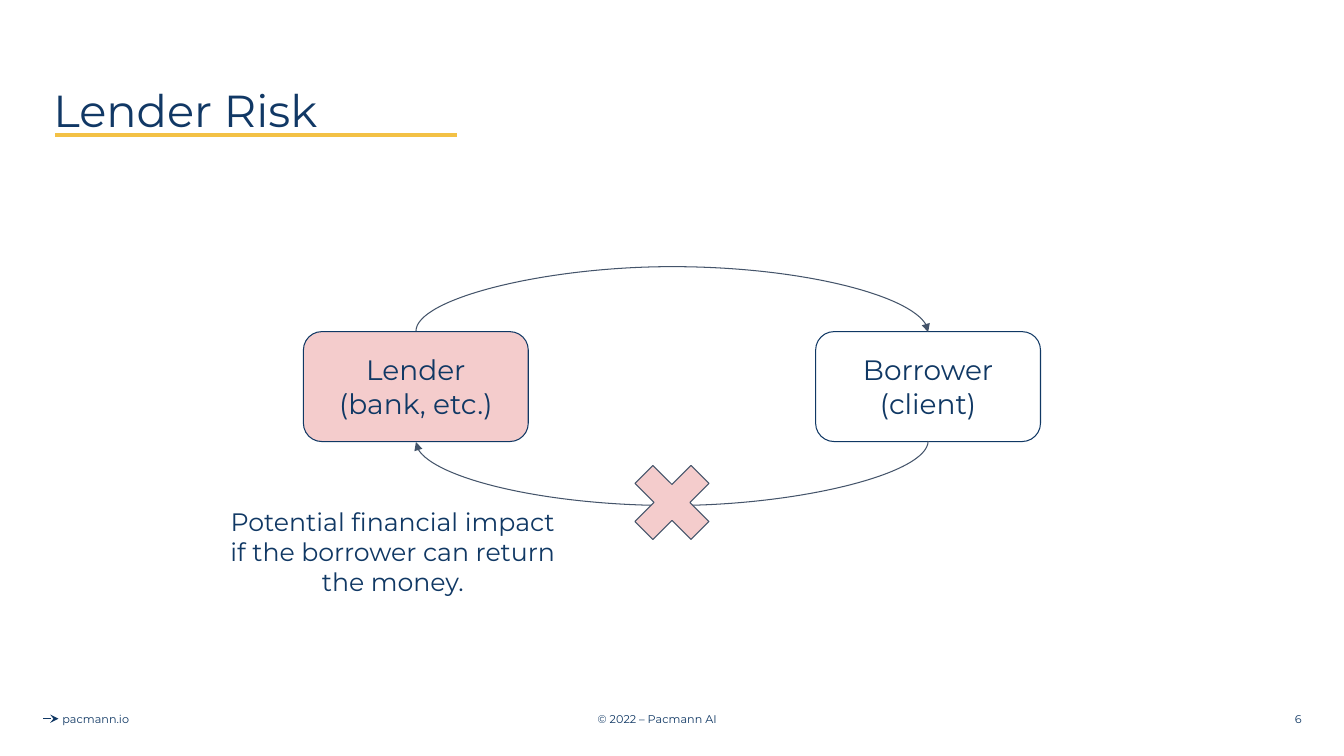
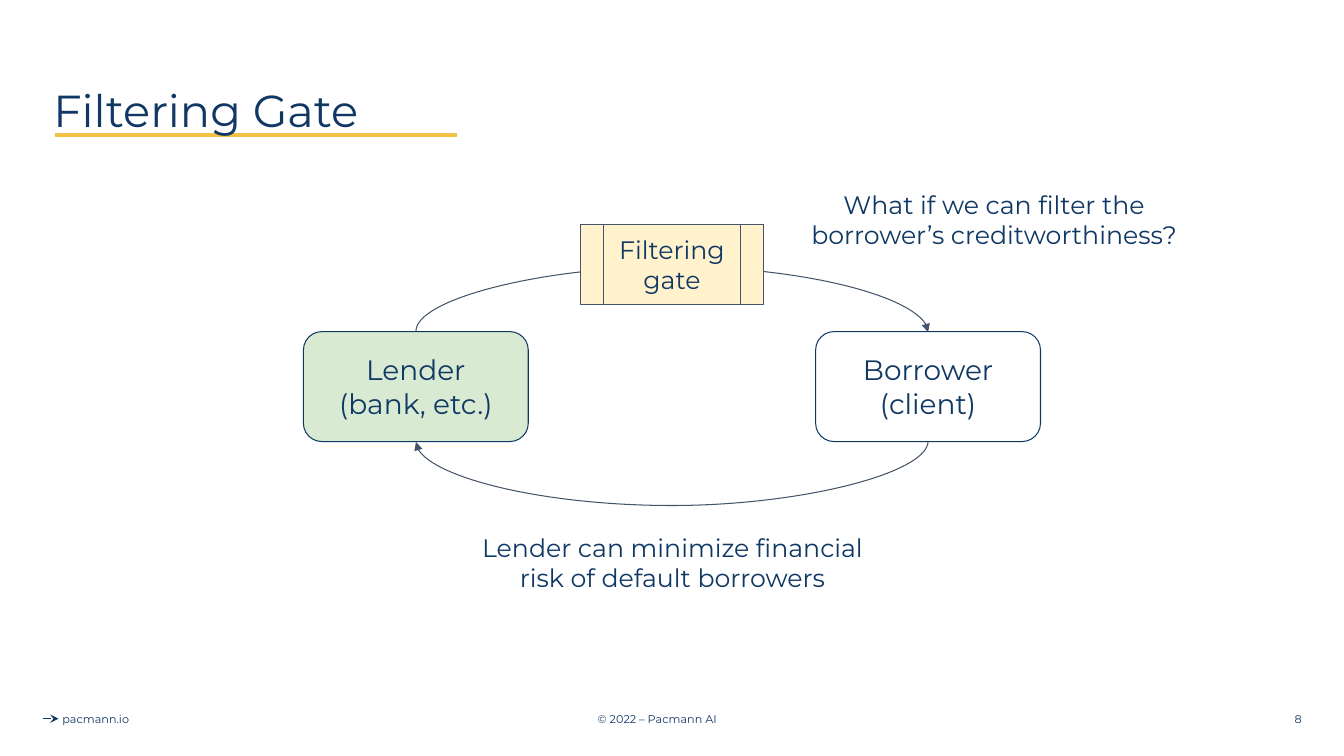
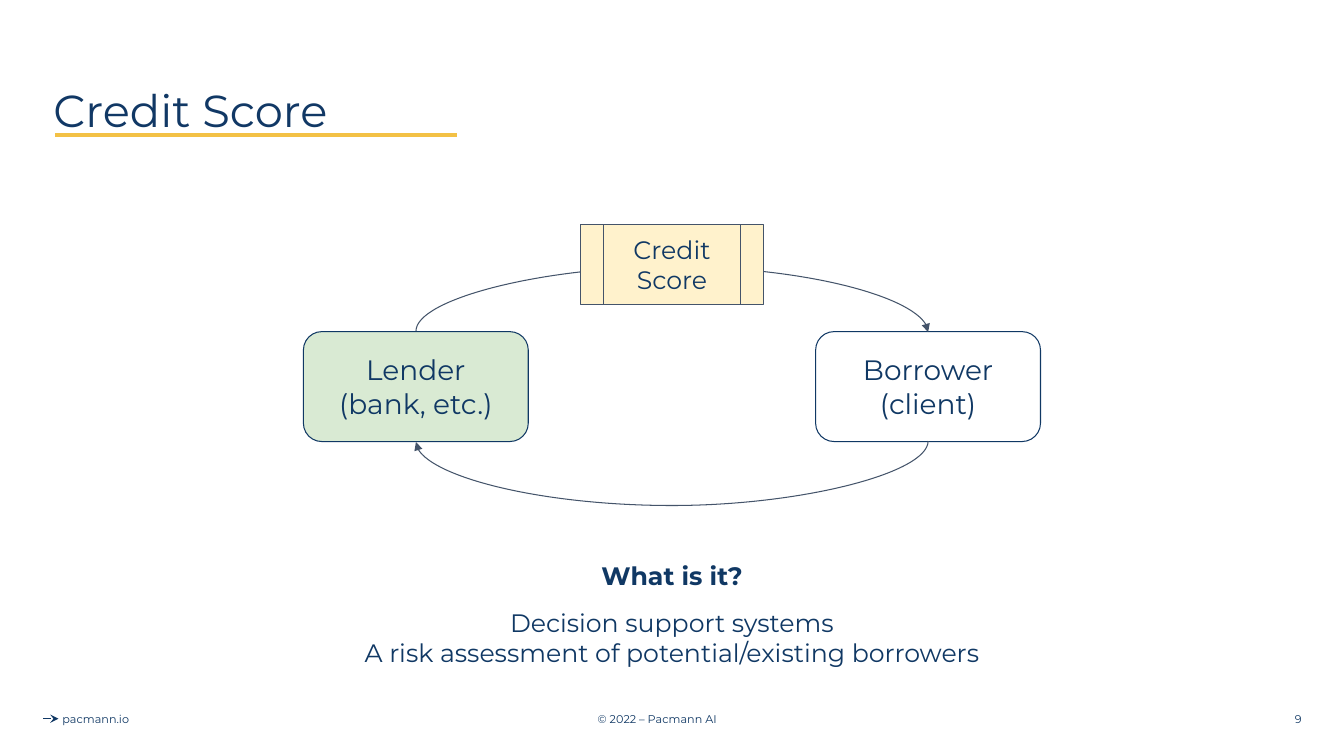
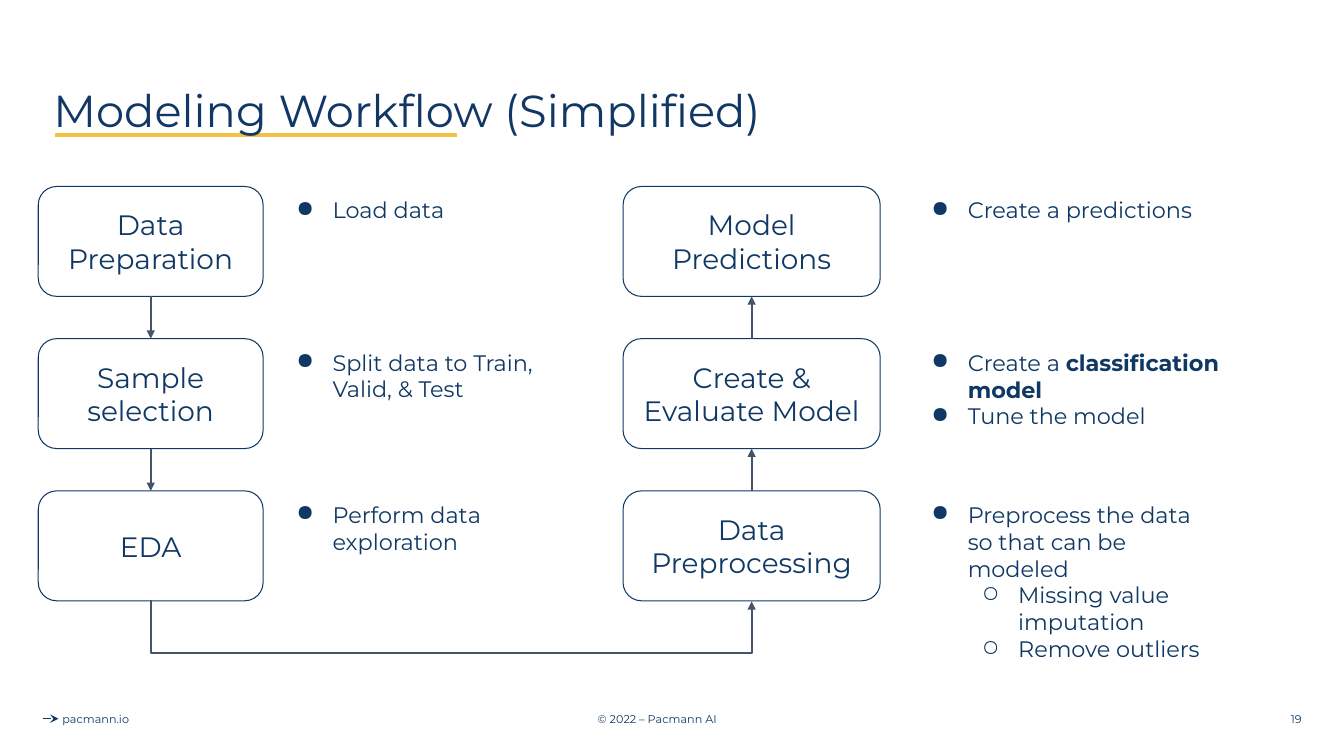
from lxml import etree
from pptx import Presentation
from pptx.dml.color import RGBColor
from pptx.enum.shapes import MSO_CONNECTOR, MSO_SHAPE
from pptx.enum.text import MSO_ANCHOR, MSO_AUTO_SIZE, PP_ALIGN
from pptx.oxml.ns import qn
from pptx.util import Inches, Pt

STRAIGHT, ELBOW, CURVE = MSO_CONNECTOR.STRAIGHT, MSO_CONNECTOR.ELBOW, MSO_CONNECTOR.CURVE
ROUNDED, CROSS = MSO_SHAPE.ROUNDED_RECTANGLE, MSO_SHAPE.MATH_MULTIPLY
GATE = MSO_SHAPE.FLOWCHART_PREDEFINED_PROCESS
TOP, MIDDLE = MSO_ANCHOR.TOP, MSO_ANCHOR.MIDDLE
GROW, FIXED = MSO_AUTO_SIZE.SHAPE_TO_FIT_TEXT, MSO_AUTO_SIZE.NONE
LEFT, CENTER, RIGHT = PP_ALIGN.LEFT, PP_ALIGN.CENTER, PP_ALIGN.RIGHT
TOP_SITE, BOTTOM_SITE = 0, 2

COLORS = {
    "navy": "103864",
    "title": "113865",
    "gold": "F3C145",
    "slate": "44546A",
    "pink": "F4CCCC",
    "green": "D9EAD3",
    "cream": "FFF2CC",
}
FONT = "Montserrat"
BULLETS = "●○"
BOX_HEIGHT = 1.09
LOOP_WIDTH = 0.01


def color(name):
    return RGBColor.from_string(COLORS[name])


def assign(target, values):
    for name, value in values.items():
        setattr(target, name, value)


class Deck:
    """Holds the style, the presentation and the current slide."""

    def __init__(self):
        self.presentation = Presentation()
        assign(self.presentation, {"slide_width": Inches(13.33), "slide_height": Inches(7.5)})
        self.slide = None

    def new_slide(self, title, number):
        self.slide = self.presentation.slides.add_slide(self.presentation.slide_layouts[6])
        self.line((0.43, 7.13), (0.58, 7.13), "navy", 0.75, "stealth")
        footers = [
            (4.27, 4.5, "© 2022 – Pacmann AI", CENTER),
            (-1.3, 4.5, "pacmann.io", CENTER),
            (10.01, 3, str(number), RIGHT),
        ]
        for left, width, text, align in footers:
            self.text(left, 6.93, width, 0.4, [text], size=8, align=align,
                      anchor=MIDDLE, padding=0.05, auto_size=FIXED)
        self.line((0.55, 1.34), (4.53, 1.34), "gold", 2.25)
        self.text(0.43, 0.4, 12.59, 1.45, [title], size=32, align=LEFT, anchor=MIDDLE,
                  padding=0.05, auto_size=FIXED, ink="title", line_spacing=0.9)

    def fill_frame(self, frame, paragraphs, size, align=CENTER, ink="navy", anchor=TOP,
                   padding=0.1, auto_size=FIXED, bulleted=False, **spacing):
        assign(frame, {
            "word_wrap": True,
            "auto_size": auto_size,
            "vertical_anchor": anchor,
            "margin_left": Inches(0.1),
            "margin_right": Inches(0.1),
            "margin_top": Inches(padding),
            "margin_bottom": Inches(padding),
        })
        for index, content in enumerate(paragraphs):
            paragraph = frame.add_paragraph() if index else frame.paragraphs[0]
            level, runs = content if isinstance(content, tuple) else (0, content)
            if bulleted:
                self.bullet(paragraph, level, ink)
            assign(paragraph, {"alignment": align, **spacing})
            for part in [(runs, False)] if isinstance(runs, str) else runs:
                run = paragraph.add_run()
                run.text = part[0]
                assign(run.font, {"name": FONT, "size": Pt(size), "bold": part[1]})
                run.font.color.rgb = color(ink)

    def bullet(self, paragraph, level, ink):
        paragraph.level = level
        properties = paragraph._p.get_or_add_pPr()
        properties.set("marL", str(Inches(0.5 + 0.5 * level)))
        properties.set("indent", str(Inches(-0.36)))
        tint = etree.SubElement(properties, qn("a:buClr"))
        etree.SubElement(tint, qn("a:srgbClr"), val=COLORS[ink])
        etree.SubElement(properties, qn("a:buChar"), char=BULLETS[level])

    def text(self, left, top, width, height, paragraphs, size=18, auto_size=GROW, **style):
        box = self.slide.shapes.add_textbox(*map(Inches, (left, top, width, height)))
        self.fill_frame(box.text_frame, paragraphs, size, auto_size=auto_size, **style)
        return box

    def shape(self, kind, left, top, width, height, paragraphs=(), fill=None,
              outline="slate", size=18):
        shape = self.slide.shapes.add_shape(kind, *map(Inches, (left, top, width, height)))
        shape.shadow.inherit = False
        if fill:
            shape.fill.solid()
            shape.fill.fore_color.rgb = color(fill)
        else:
            shape.fill.background()
        shape.line.color.rgb = color(outline)
        shape.line.width = Pt(0.75)
        self.fill_frame(shape.text_frame, paragraphs, size, anchor=MIDDLE)
        return shape

    def box(self, left, top, width, paragraphs, fill=None):
        return self.shape(ROUNDED, left, top, width, BOX_HEIGHT, paragraphs, fill, "navy", 20)

    def style_line(self, connector, ink, weight, head):
        connector.line.color.rgb = color(ink)
        connector.line.width = Pt(weight)
        properties = connector._element.spPr
        if head:
            etree.SubElement(properties.find(qn("a:ln")), qn("a:tailEnd"), type=head)
        etree.SubElement(properties, qn("a:effectLst"))

    def line(self, start, end, ink, weight, head=None):
        connector = self.slide.shapes.add_connector(STRAIGHT, *map(Inches, start + end))
        self.style_line(connector, ink, weight, head)

    def connect(self, kind, source, source_site, target, target_site, weight):
        connector = self.slide.shapes.add_connector(kind, 0, 0, 0, 0)
        connector.begin_connect(source, source_site)
        connector.end_connect(target, target_site)
        self.style_line(connector, "slate", weight, "triangle")
        return connector

    def loop(self, kind, source, target, site, bulge, weight):
        connector = self.connect(kind, source, site, target, site, weight)
        start, end, level = connector.begin_x, connector.end_x, connector.begin_y
        span = abs(end - start)
        transform = connector._element.spPr.find(qn("a:xfrm"))
        for flip in ("flipH", "flipV"):
            transform.attrib.pop(flip, None)
        rightward = end > start
        if rightward:
            transform.set("flipH", "1")
        transform.set("rot", str((270 if rightward else 90) * 60000))
        assign(connector, {
            "left": (start + end - Inches(LOOP_WIDTH)) // 2,
            "top": level - span // 2,
            "width": Inches(LOOP_WIDTH),
            "height": span,
        })
        guides = connector._element.spPr.find(qn("a:prstGeom")).get_or_add_avLst()
        ratio = round(bulge / LOOP_WIDTH * 100000)
        etree.SubElement(guides, qn("a:gd"), name="adj1", fmla=f"val {ratio}")

    def lending_cycle(self, lender_fill):
        lender = self.box(3.01, 3.29, 2.23, ["Lender", "(bank, etc.)"], lender_fill)
        borrower = self.box(8.09, 3.29, 2.23, ["Borrower", "(client)"])
        self.loop(CURVE, lender, borrower, TOP_SITE, -0.65, 0.75)
        self.loop(CURVE, borrower, lender, BOTTOM_SITE, 0.65, 0.75)

    def gate(self, label):
        self.shape(GATE, 5.76, 2.23, 1.81, 0.79, [label], "cream")

    def workflow_column(self, left, width, notes_left, steps):
        boxes = []
        for row, (label, notes, height) in enumerate(steps):
            top = 1.85 + 1.51 * row
            boxes.append(self.box(left, top, width, [label]))
            self.text(notes_left, top, 3.21, height, notes, size=16, align=LEFT, bulleted=True)
        return boxes


def main():
    deck = Deck()

    deck.new_slide("Lender Risk", 6)
    deck.lending_cycle("pink")
    deck.text(2.09, 4.92, 3.61, 1.11,
              ["Potential financial impact if the borrower can return the money."])
    deck.shape(CROSS, 6.13, 4.45, 1.07, 1.07, fill="pink")

    deck.new_slide("Filtering Gate", 8)
    deck.lending_cycle("green")
    deck.text(7.79, 1.78, 4.14, 0.81, ["What if we can filter the borrower’s creditworthiness?"])
    deck.gate("Filtering gate")
    deck.text(4.6, 5.18, 4.14, 0.81, ["Lender can minimize financial risk of default borrowers"])

    deck.new_slide("Credit Score", 9)
    deck.lending_cycle("green")
    deck.gate("Credit Score")
    answer = deck.text(3.12, 5.46, 7.09, 1.28, [
        [("What is it?", True)],
        "Decision support systems",
        "A risk assessment of potential/existing borrowers",
    ])
    answer.text_frame.paragraphs[0].space_after = Pt(12)

    deck.new_slide("Modeling Workflow (Simplified)", 19)
    preparation, sampling, exploration = deck.workflow_column(0.38, 2.23, 2.7, [
        ("Data Preparation", ["Load data"], 0.47),
        ("Sample selection", ["Split data to Train, Valid, & Test"], 0.74),
        ("EDA", ["Perform data exploration"], 0.74),
    ])
    predictions, modeling, preprocessing = deck.workflow_column(6.18, 2.55, 9, [
        ("Model Predictions", ["Create a predictions"], 0.47),
        ("Create & Evaluate Model",
         [[("Create a ", False), ("classification model", True)], "Tune the model"], 1.01),
        ("Data Preprocessing",
         ["Preprocess the data so that can be modeled",
          (1, "Missing value imputation"), (1, "Remove outliers")], 1.82),
    ])
    for upper, lower in ((preparation, sampling), (sampling, exploration)):
        deck.connect(STRAIGHT, upper, BOTTOM_SITE, lower, TOP_SITE, 1.5)
    for lower, upper in ((preprocessing, modeling), (modeling, predictions)):
        deck.connect(STRAIGHT, lower, TOP_SITE, upper, BOTTOM_SITE, 1.5)
    deck.loop(ELBOW, exploration, preprocessing, BOTTOM_SITE, 0.53, 1.5)

    deck.presentation.save("out.pptx")


if __name__ == "__main__":
    main()
